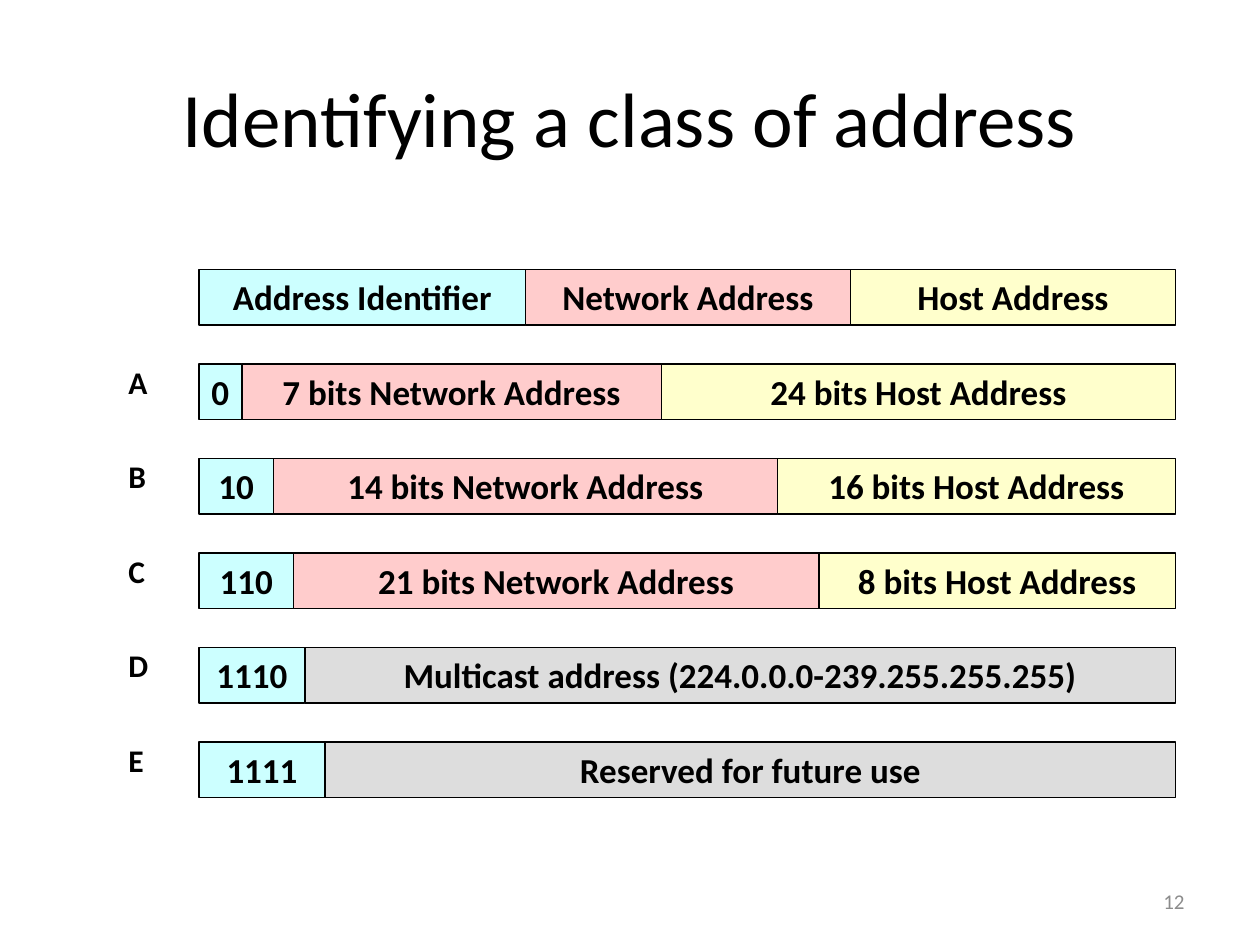
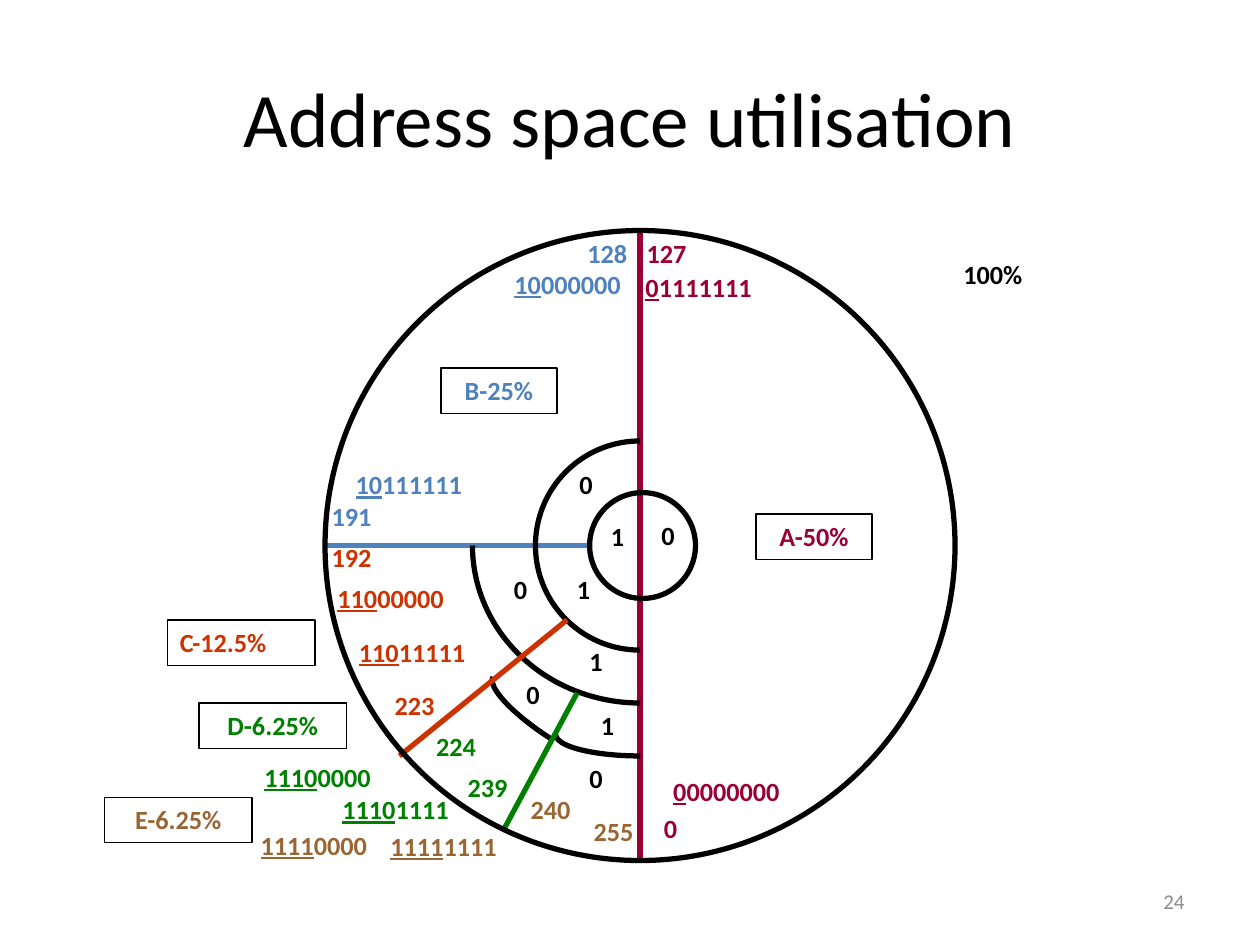
"""Build two slides on IP address classes: their bit layout and their share of the address space."""
from lxml.etree import SubElement
from pptx import Presentation
from pptx.dml.color import RGBColor
from pptx.enum.shapes import MSO_CONNECTOR as CONN, MSO_SHAPE as SHAPE
from pptx.enum.text import MSO_ANCHOR as ANCHOR, PP_ALIGN as ALIGN
from pptx.oxml.ns import qn
from pptx.util import Inches, Pt

FONT = "Calibri"
BLACK, GREY = "000000", "8C8C8C"
LEFT, CENTER, RIGHT = ALIGN.LEFT, ALIGN.CENTER, ALIGN.RIGHT

ID, NET, HOST, OTHER = "CCFFFF", "FFCCCC", "FFFFCC", "DDDDDD"
ROW_TOP, ROW_STEP, ROW_HEIGHT, ROW_RIGHT = 2.14, 0.75, 0.44, 9.33
ROWS = [
    ("", [(1.58, "Address Identifier", ID), (4.17, "Network Address", NET), (6.75, "Host Address", HOST)]),
    ("A", [(1.58, "0", ID), (1.92, "7 bits Network Address", NET), (5.25, "24 bits Host Address", HOST)]),
    ("B", [(1.58, "10", ID), (2.17, "14 bits Network Address", NET), (6.17, "16 bits Host Address", HOST)]),
    ("C", [(1.58, "110", ID), (2.33, "21 bits Network Address", NET), (6.5, "8 bits Host Address", HOST)]),
    ("D", [(1.58, "1110", ID), (2.42, "Multicast address (224.0.0.0-239.255.255.255)", OTHER)]),
    ("E", [(1.58, "1111", ID), (2.58, "Reserved for future use", OTHER)]),
]

COLOURS = {"A": "990033", "B": "4F81BD", "C": "CC3300", "D": "008000", "E": "996633"}
CX, CY, RADIUS = 5.08, 4.33, 2.5
LOWER_LINES = [("A", CX, CY - RADIUS, CX, CY + RADIUS), ("B", 2.58, CY, 4.67, CY)]
UPPER_LINES = [("C", 4.5, 4.92, 3.17, 6), ("D", 4, 6.58, 4.58, 5.5)]
ARCS = [
    (CX, CY, 0.83, 0.83, 270, 0),
    (CX, CY, 1.33, 1.25, 180, 0),
    (CX, 5.83, 0.67, 0.17, 180, 0),
    (4.48, 5.73, 0.67, 0.17, 180, 32.3),
]
BADGES = [
    ("A", "A-50%", 6, 4.08, 0.92, CENTER),
    ("B", "B-25%", 3.5, 2.92, 0.92, CENTER),
    ("C", "C-12.5%", 1.33, 4.92, 1.17, LEFT),
    ("D", "D-6.25%", 1.58, 5.58, 1.17, CENTER),
    ("E", "E-6.25%", 0.83, 6.33, 1.17, CENTER),
]
BITS = [
    ("0", 5.15, 4.07), ("1", 4.75, 4.08), ("1", 4.48, 4.5), ("0", 4.5, 3.67),
    ("0", 3.98, 4.5), ("1", 4.58, 5.07), ("0", 4.58, 6), ("0", 4.08, 5.33), ("1", 4.67, 5.58),
]
OCTETS = [
    ("A", "127", 5, 1.83), ("B", "128", 4.53, 1.83), ("B", "191", 2.5, 3.92),
    ("C", "192", 2.5, 4.25), ("C", "223", 3, 5.42), ("D", "224", 3.33, 5.75),
    ("D", "239", 3.58, 6.07), ("E", "240", 4.08, 6.25), ("E", "255", 4.58, 6.42),
]
BINARIES = [
    ("A", "0", "0000000", 5.14, 6.17, 1.25, CENTER, 0.7),
    ("A", "0", "1111111", 4.92, 2.17, 1.25, CENTER, 0.7),
    ("B", "10", "000000", 3.92, 2.08, 1.17, CENTER, 1),
    ("B", "10", "111111", 2.58, 3.67, 1.33, CENTER, 1),
    ("C", "110", "00000", 2.58, 4.57, 1.17, LEFT, 1),
    ("C", "110", "11111", 2.75, 5, 1.25, LEFT, 1),
    ("D", "1110", "0000", 2, 5.99, 1.25, LEFT, 1),
    ("D", "1110", "1111", 2.33, 6.25, 1.33, RIGHT, 1),
    ("E", "1111", "0000", 1.97, 6.53, 1.36, LEFT, 1),
    ("E", "1111", "1111", 3, 6.54, 1.33, LEFT, 1),
]


def rgb(value):
    """Return the colour for a hex string."""
    return RGBColor.from_string(value)


def write(sp, text, size, colour=BLACK, align=LEFT, prefix="", anchor=ANCHOR.TOP, spacing=1, bold=True):
    """Write one paragraph into a shape, with an optional underlined prefix."""
    tf = sp.text_frame
    for name, value in {"word_wrap": True, "vertical_anchor": anchor}.items():
        setattr(tf, name, value)
    p = tf.paragraphs[0]
    for name, value in {"alignment": align, "line_spacing": spacing}.items():
        setattr(p, name, value)
    for part, underline in ((prefix, True), (text, False)):
        if part:
            r = p.add_run()
            r.text = part
            r.font.color.rgb = rgb(colour)
            for name, value in {"name": FONT, "size": Pt(size), "bold": bold, "underline": underline}.items():
                setattr(r.font, name, value)


def add_text(s, box, text, size, **style):
    """Add a text box."""
    write(s.shapes.add_textbox(*map(Inches, box)), text, size, **style)


def add_shape(s, kind, box, width, fill=None):
    """Add a black outlined shape, unfilled unless a fill is given."""
    sp = s.shapes.add_shape(kind, *map(Inches, box))
    sp.shadow.inherit = False
    if fill:
        sp.fill.solid()
        sp.fill.fore_color.rgb = rgb(fill)
    else:
        sp.fill.background()
    sp.line.color.rgb = rgb(BLACK)
    sp.line.width = Pt(width)
    return sp


def add_ellipse(s, cx, cy, rx, ry, kind=SHAPE.OVAL):
    """Add an ellipse or arc around a centre."""
    return add_shape(s, kind, (cx - rx, cy - ry, 2 * rx, 2 * ry), 3)


def add_arc(s, cx, cy, rx, ry, end, rotation):
    """Add an arc that runs clockwise from the bottom to an end angle."""
    sp = add_ellipse(s, cx, cy, rx, ry, SHAPE.ARC)
    for i, degrees in enumerate((90, end)):
        sp.adjustments[i] = degrees * 0.6
    sp.rotation = rotation


def add_line(s, name, *ends):
    """Add a boundary line in the colour of its class."""
    line = s.shapes.add_connector(CONN.STRAIGHT, *map(Inches, ends))
    line.line.color.rgb = rgb(COLOURS[name])
    line.line.width = Pt(3)
    SubElement(line._element.spPr, qn("a:effectLst"))


def new_slide(prs, title, number):
    """Add a slide with its title and number."""
    s = prs.slides.add_slide(prs.slide_layouts[6])
    shared = {"anchor": ANCHOR.MIDDLE, "bold": False}
    add_text(s, (0.5, 0.3, 9, 1.25), title, 44, align=CENTER, **shared)
    add_text(s, (7.17, 6.95, 2.33, 0.4), number, 12, align=RIGHT, colour=GREY, **shared)
    return s


def build_classes(prs):
    """Draw the bit layout of each address class."""
    s = new_slide(prs, "Identifying a class of address", "12")
    for i, (label, cells) in enumerate(ROWS):
        top = ROW_TOP + i * ROW_STEP
        ends = [cell[0] for cell in cells[1:]] + [ROW_RIGHT]
        for (left, text, fill), end in zip(cells, ends):
            sp = add_shape(s, SHAPE.RECTANGLE, (left, top, end - left, ROW_HEIGHT), 0.75, fill)
            write(sp, text, 20, align=LEFT if text == "0" else CENTER)
        if label:
            add_text(s, (0.92, top - 0.06, 0.5, 0.5), label, 18)


def build_utilisation(prs):
    """Draw the address space as a circle split by leading bits."""
    s = new_slide(prs, "Address space utilisation", "24")
    for line in LOWER_LINES:
        add_line(s, *line)
    add_ellipse(s, 5.1, CY, 0.42, 0.42)
    for arc in ARCS:
        add_arc(s, *arc)
    for line in UPPER_LINES:
        add_line(s, *line)
    add_ellipse(s, CX, CY, RADIUS, RADIUS)
    for name, text, left, top, width, align in BADGES:
        sp = add_shape(s, SHAPE.RECTANGLE, (left, top, width, 0.36), 0.75)
        write(sp, text, 15, COLOURS[name], align)
    for text, left, top in BITS:
        add_text(s, (left, top, 0.27, 0.35), text, 15)
    for name, text, left, top in OCTETS:
        add_text(s, (left, top, 0.58, 0.35), text, 15, colour=COLOURS[name], align=CENTER)
    for name, prefix, rest, left, top, width, align, spacing in BINARIES:
        add_text(s, (left, top, width, 0.35 * spacing), rest, 15, colour=COLOURS[name],
                 align=align, prefix=prefix, spacing=spacing)
    add_text(s, (5.17, 6.4, 0.27, 0.35), "0", 15, colour=COLOURS["A"])
    add_text(s, (7.17, 2, 1.42, 0.35), "100%", 15, align=CENTER)


def main():
    """Build and save the presentation."""
    prs = Presentation()
    prs.slide_width, prs.slide_height = Inches(10), Inches(7.5)
    build_classes(prs)
    build_utilisation(prs)
    prs.save("out.pptx")


if __name__ == "__main__":
    main()
